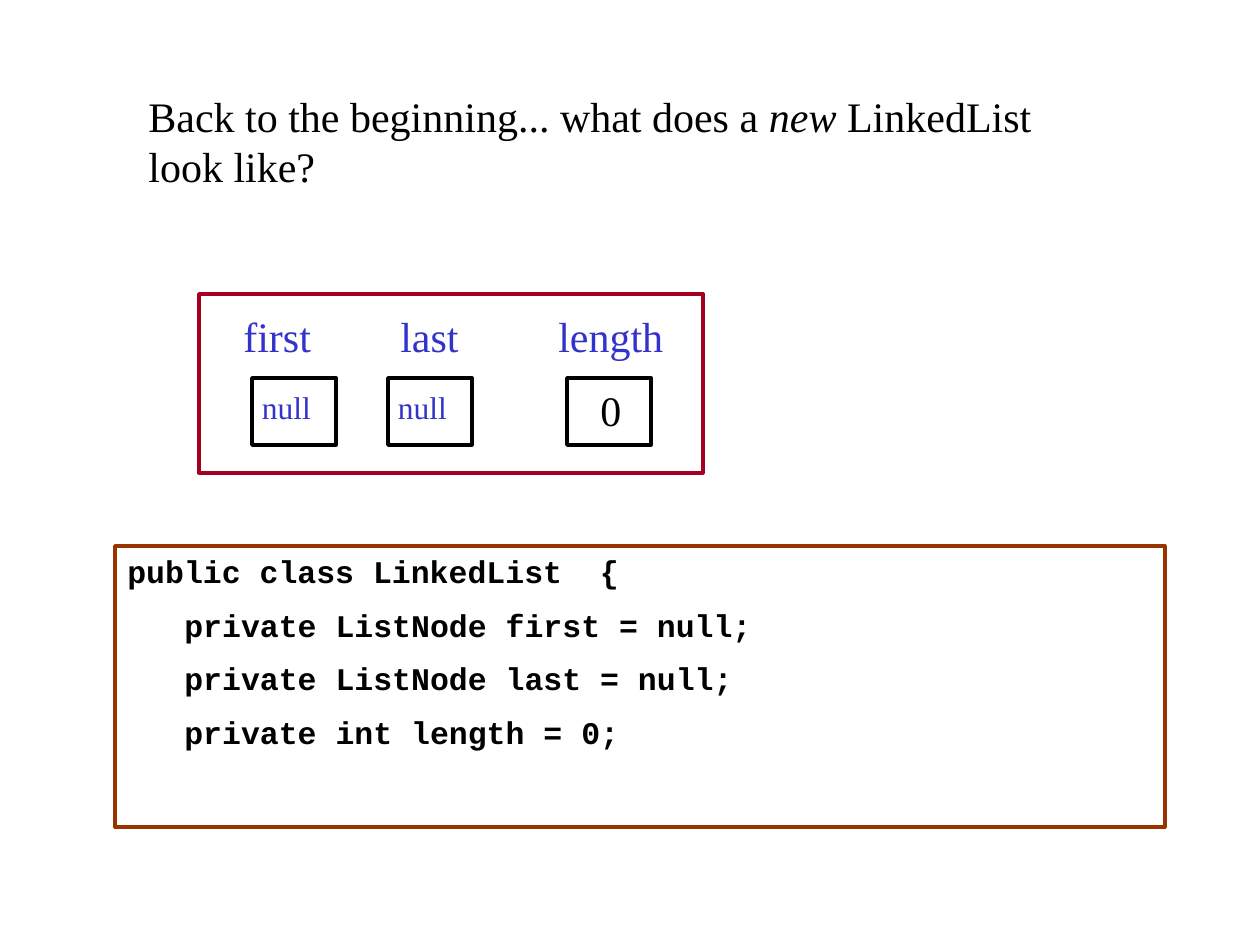
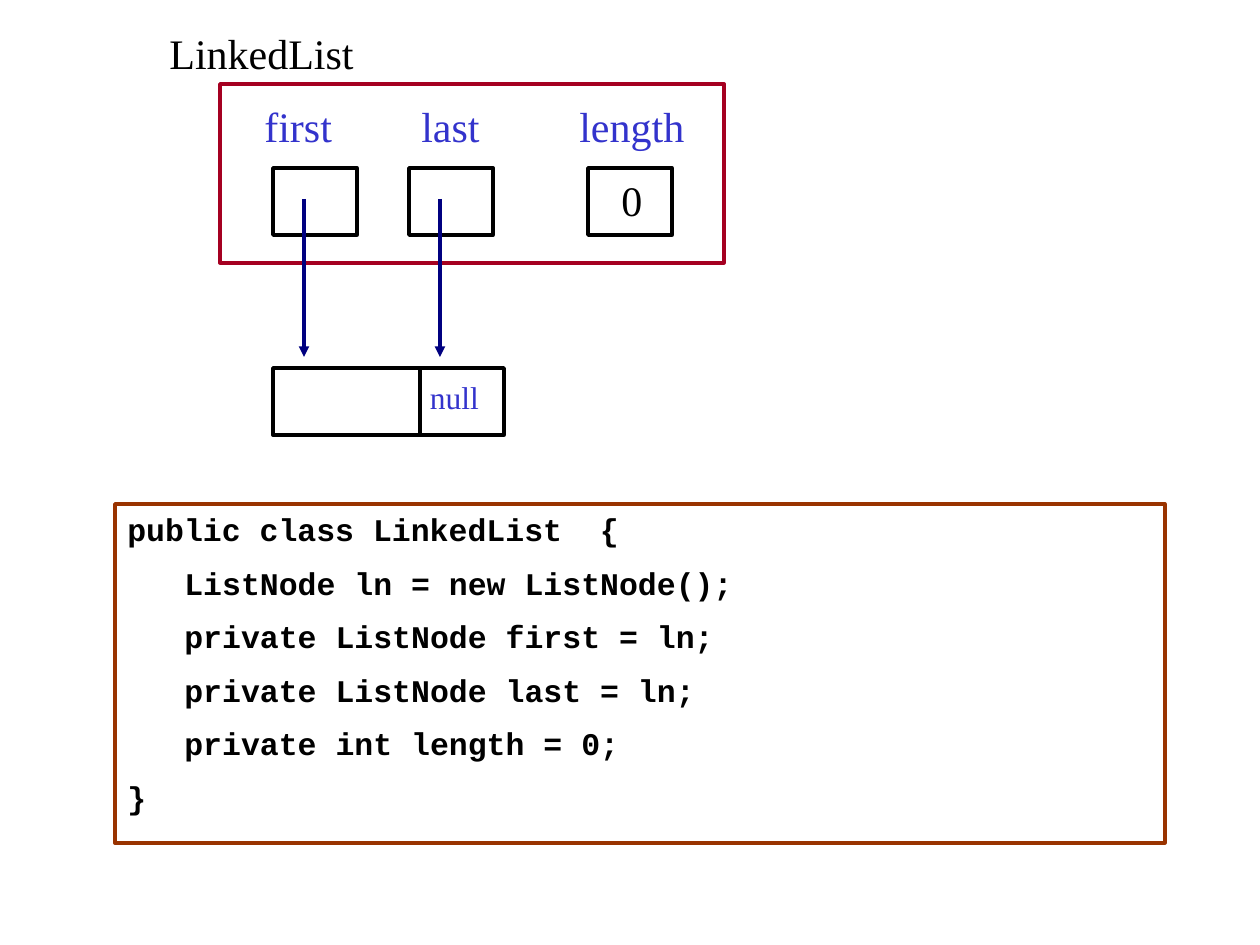
import pptx
import pptx.util
import pptx.dml.color
import pptx.enum.shapes
import pptx.oxml
import pptx.oxml.ns

PIXEL = 914400 // 126
COLORS = {"record": "A50021", "code": "993300", "label": "3333CC",
          "arrow": "000080", "black": "000000"}
SERIF, MONO = "Times New Roman", "Courier New"

# Content: runs are (text, italic), code lines are (indent level, text)
FIELDS = [  # name, label offset, label width, box offset
    ("first", 32, 116, 53),
    ("last", 189, 116, 189),
    ("length", 347, 136, 368),
]
SLIDES = [
    {
        "title": [("Back to the beginning... what does a ", False),
                  ("new", True), (" LinkedList look like?", False)],
        "title_box": (136, 84, 966, 113),
        "record": (199, 294),
        "values": ["null", "null", "0"],
        "code_box": (115, 546, 1050, 281),
        "code": [(0, "public class LinkedList  {"),
                 (1, "private ListNode first = null;"),
                 (1, "private ListNode last = null;"),
                 (1, "private int length = 0;")],
    },
    {
        "title": [("LinkedList", False)],
        "title_box": (157, 21, 221, 63),
        "record": (220, 84),
        "values": ["node", "node", "0"],
        "node": (273, 368),
        "code_box": (115, 504, 1050, 339),
        "code": [(0, "public class LinkedList  {"),
                 (1, "ListNode ln = new ListNode();"),
                 (1, "private ListNode first = ln;"),
                 (1, "private ListNode last = ln;"),
                 (1, "private int length = 0;"),
                 (0, "}")],
    },
]

# Shared sizes
RECORD_SIZE = (504, 179)
BOX_WIDTH, BOX_HEIGHT = 84, 67
BOX_TOP, LABEL_TOP, LABEL_HEIGHT = 84, 10, 63
NODE_DATA_WIDTH = 147
ARROW_INSET, ARROW_GAP = 31, 11
CODE_INDENT = 57


def px(*lengths):
    return [pptx.util.Emu(round(length * PIXEL)) for length in lengths]


def rgb(name):
    return pptx.dml.color.RGBColor.from_string(COLORS[name])


def write(shape, paragraphs, size=24, font=SERIF, color="black", bold=False, inset=True):
    """Fill a shape with (indent level, runs) paragraphs, each run (text, italic)."""
    frame = shape.text_frame
    frame.word_wrap = True
    frame.vertical_anchor = pptx.enum.text.MSO_ANCHOR.TOP
    if not inset:
        frame.margin_left = frame.margin_right = frame.margin_top = frame.margin_bottom = 0
    for index, (level, runs) in enumerate(paragraphs):
        paragraph = frame.add_paragraph() if index else frame.paragraphs[0]
        paragraph.alignment = pptx.enum.text.PP_ALIGN.LEFT
        properties = paragraph._p.get_or_add_pPr()
        if level:
            properties.set("marL", str(level * CODE_INDENT * PIXEL))
            properties.set("indent", "0")
        # Space before as a share of the line height
        space = pptx.oxml.parse_xml(
            f'<a:spcBef {pptx.oxml.ns.nsdecls("a")}><a:spcPct val="50000"/></a:spcBef>')
        properties.append(space)
        for text, italic in runs:
            run = paragraph.add_run()
            run.text = text
            run.font.size = pptx.util.Pt(size)
            run.font.name = font
            run.font.bold = bold
            run.font.italic = italic
            run.font.color.rgb = rgb(color)


def add_text(slide, box, runs, **style):
    write(slide.shapes.add_textbox(*px(*box)), [(0, runs)], **style)


def add_outline(shapes, box, color="black"):
    shape = shapes.add_shape(pptx.enum.shapes.MSO_SHAPE.RECTANGLE, *px(*box))
    shape.shadow.inherit = False
    shape.fill.background()
    shape.line.color.rgb = rgb(color)
    shape.line.width = pptx.util.Pt(2)
    return shape


def add_null(slide, left, top):
    add_text(slide, (left + 10, top + 10, 73, 38), [("null", False)],
             size=18, color="label", inset=False)


def add_arrow(slide, x, top, bottom):
    line = slide.shapes.add_connector(
        pptx.enum.shapes.MSO_CONNECTOR.STRAIGHT, *px(x, top, x, bottom))
    line.line.color.rgb = rgb("arrow")
    line.line.width = pptx.util.Pt(2)
    namespace = pptx.oxml.ns.nsdecls("a")
    line.line._get_or_add_ln().append(
        pptx.oxml.parse_xml(f'<a:tailEnd {namespace} type="triangle"/>'))
    line._element.spPr.append(pptx.oxml.parse_xml(f"<a:effectLst {namespace}/>"))


def add_record(slide, content):
    left, top = content["record"]
    add_outline(slide.shapes, (left, top, *RECORD_SIZE), "record")
    box_top = top + BOX_TOP
    for (name, label_x, label_width, box_x), value in zip(FIELDS, content["values"]):
        box_left = left + box_x
        add_outline(slide.shapes, (box_left, box_top, BOX_WIDTH, BOX_HEIGHT))
        add_text(slide, (left + label_x, top + LABEL_TOP, label_width, LABEL_HEIGHT),
                 [(name, False)], color="label")
        if value == "null":
            add_null(slide, box_left, box_top)
        elif value == "node":
            add_arrow(slide, box_left + ARROW_INSET, box_top + ARROW_INSET,
                      content["node"][1] - ARROW_GAP)
        else:
            add_text(slide, (box_left + 21, box_top, 53, LABEL_HEIGHT), [(value, False)])


def add_node(slide, left, top):
    group = slide.shapes.add_group_shape()
    link_left = left + NODE_DATA_WIDTH
    add_outline(group.shapes, (left, top, NODE_DATA_WIDTH, BOX_HEIGHT))
    add_outline(group.shapes, (link_left, top, BOX_WIDTH, BOX_HEIGHT))
    add_null(slide, link_left, top)


presentation = pptx.Presentation()
presentation.slide_width, presentation.slide_height = px(1260, 945)
for content in SLIDES:
    slide = presentation.slides.add_slide(presentation.slide_layouts[6])
    add_text(slide, content["title_box"], content["title"])
    add_record(slide, content)
    if "node" in content:
        add_node(slide, *content["node"])
    # Code listing
    write(add_outline(slide.shapes, content["code_box"], "code"),
          [(level, [(text, False)]) for level, text in content["code"]],
          size=18, font=MONO, bold=True)
presentation.save("out.pptx")
